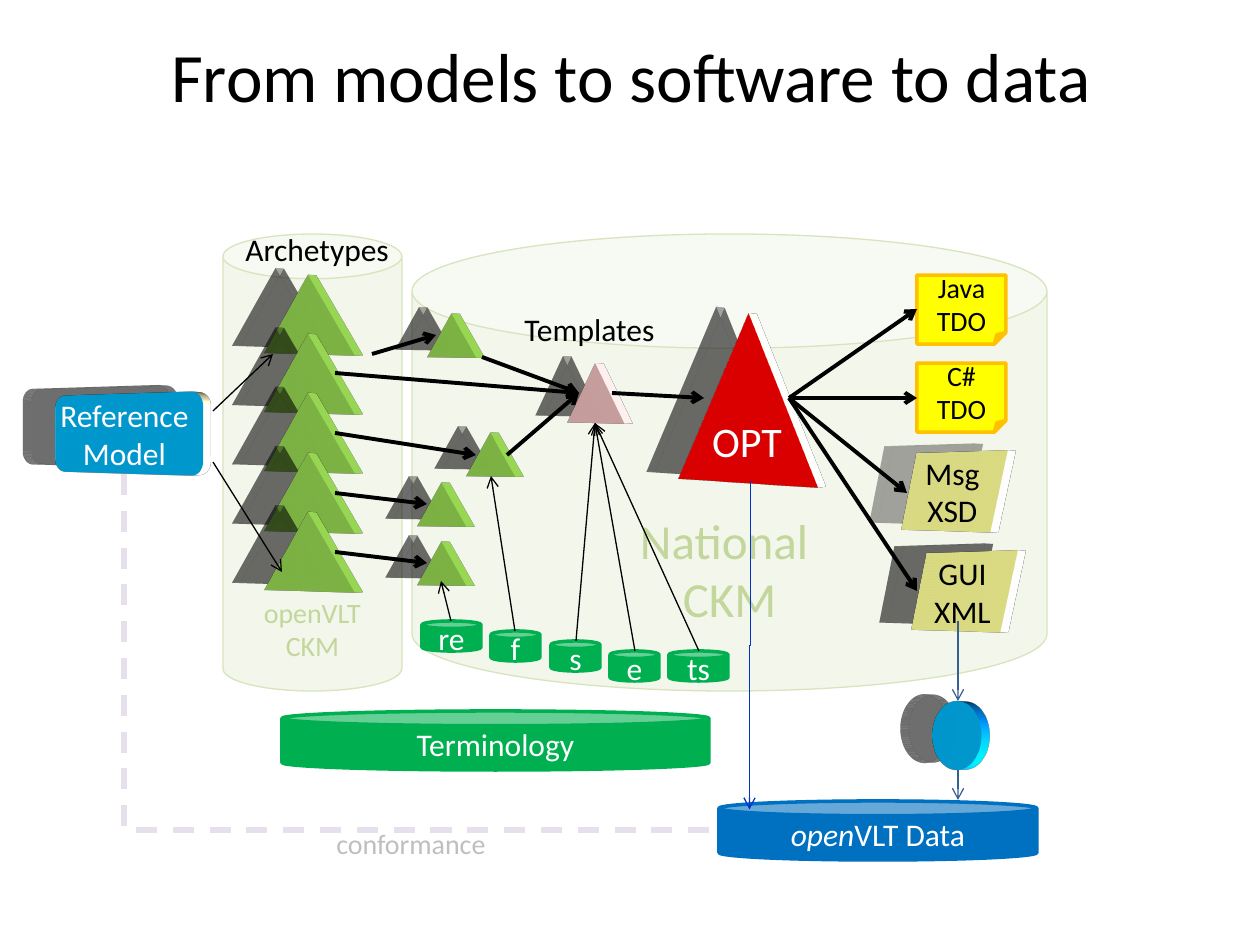
from lxml.etree import SubElement
from pptx import Presentation
from pptx.dml.color import RGBColor
from pptx.enum.dml import MSO_LINE
from pptx.enum.shapes import MSO_CONNECTOR, MSO_SHAPE
from pptx.enum.text import MSO_ANCHOR, PP_ALIGN
from pptx.oxml import parse_xml
from pptx.oxml.ns import nsdecls, qn
from pptx.util import Emu, Pt

FONT = "Calibri"
BLACK = RGBColor(0x00, 0x00, 0x00)
WHITE = RGBColor(0xFF, 0xFF, 0xFF)
PALE_GREEN = RGBColor(0xEB, 0xF1, 0xDE)
SAGE = RGBColor(0xD7, 0xE4, 0xBD)
OLIVE = RGBColor(0xC3, 0xD6, 0x9B)
LIME = RGBColor(0x92, 0xD0, 0x50)
GREEN = RGBColor(0x00, 0xB0, 0x50)
SKY = RGBColor(0x00, 0xB0, 0xF0)
BLUE = RGBColor(0x00, 0x70, 0xC0)
ROYAL = RGBColor(0x00, 0x33, 0xCC)
STEEL = RGBColor(0x37, 0x60, 0x92)
TAN = RGBColor(0xC4, 0xBD, 0x97)
RED = RGBColor(0xFF, 0x00, 0x00)
PINK = RGBColor(0xE6, 0xB9, 0xB8)
PALE_PINK = RGBColor(0xF2, 0xDC, 0xDB)
CREAM = RGBColor(0xFF, 0xFF, 0x99)
AQUA = RGBColor(0x93, 0xCD, 0xDD)
YELLOW = RGBColor(0xFF, 0xFF, 0x00)
GOLD = RGBColor(0xFF, 0xC0, 0x00)
LILAC = RGBColor(0xE6, 0xE0, 0xEC)
GREY = RGBColor(0xBF, 0xBF, 0xBF)

# Soft shadow, turned camera and extrusion shared by all solid pieces
SOLID_EFFECTS = (
    '<a:effectLst {ns}><a:outerShdw blurRad="184150" dist="241300" dir="11520000" '
    'algn="ctr" rotWithShape="0"><a:srgbClr val="000000"><a:alpha val="18000"/>'
    '</a:srgbClr></a:outerShdw></a:effectLst>',
    '<a:scene3d {ns}><a:camera prst="perspectiveFront" fov="5100000">'
    '<a:rot lat="0" lon="2100000" rev="0"/></a:camera><a:lightRig rig="flood" dir="t">'
    '<a:rot lat="0" lon="0" rev="13800000"/></a:lightRig></a:scene3d>',
    '<a:sp3d {ns} extrusionH="107950" prstMaterial="plastic">'
    '<a:bevelT w="82550" h="63500" prst="divot"/><a:bevelB/></a:sp3d>',
)


def px(length):
    return Emu(round(length * 914400 / 126))


def inside(box, left, top, width, height):
    return box[0] + left, box[1] + top, width, height


def write(frame, text, size, color, align=PP_ALIGN.CENTER):
    para = frame.paragraphs[0]
    para.text = text
    para.alignment = align
    para.font.name, para.font.size = FONT, Pt(size)
    para.font.color.rgb = color
    return para


def label(page, box, text, size, color):
    frame = page.shapes.add_textbox(*map(px, box)).text_frame
    frame.word_wrap = False
    write(frame, text, size, color, PP_ALIGN.LEFT)


def piece(page, kind, box, fill, line=None, weight=2, text="", size=18, color=WHITE, solid=False):
    shape = page.shapes.add_shape(kind, *map(px, box))
    shape.fill.solid()
    shape.fill.fore_color.rgb = fill
    if line is None:
        shape.line.fill.background()
    else:
        shape.line.color.rgb = line
        shape.line.width = Pt(weight)
    if solid:
        for effect in SOLID_EFFECTS:
            shape._element.spPr.append(parse_xml(effect.format(ns=nsdecls("a"))))
    else:
        shape.shadow.inherit = False
    if text:
        write(shape.text_frame, text, size, color)
    return shape


def link(page, start, end, color, weight, kind=MSO_CONNECTOR.STRAIGHT, arrow=True):
    connector = page.shapes.add_connector(kind, *map(px, start + end))
    connector.line.color.rgb = color
    connector.line.width = Pt(weight)
    if arrow:
        SubElement(connector.line._get_or_add_ln(), qn("a:tailEnd"), type="arrow")
    SubElement(connector._element.spPr, qn("a:effectLst"))
    return connector


def title(page, box):
    frame = page.shapes.add_textbox(*map(px, box)).text_frame
    frame.word_wrap = True
    frame.vertical_anchor = MSO_ANCHOR.MIDDLE
    write(frame, "From models to software to data", 39.6, BLACK)


def repositories(page, box):
    for left, width, text, size in ((0, 179, "openVLT\vCKM", 16), (189, 635, "National \vCKM", 28)):
        store = piece(page, MSO_SHAPE.CAN, inside(box, left, 0, width, box[3]),
                      PALE_GREEN, SAGE, 0.75, text, size, OLIVE)
        store.text_frame.vertical_anchor = MSO_ANCHOR.BOTTOM
        tint = store._element.spPr.find(qn("a:solidFill"))[0]
        SubElement(tint, qn("a:alpha"), val="60000")


def reference_model(page, box):
    piece(page, MSO_SHAPE.ROUNDED_RECTANGLE, box, SKY, TAN, text="Reference Model", solid=True)


def archetypes(page, box):
    count, height = 5, 79
    step = (box[3] - height) / (count - 1)
    for row in range(count):
        piece(page, MSO_SHAPE.ISOSCELES_TRIANGLE, inside(box, 0, row * step, box[2], height),
              LIME, LIME, solid=True)
    label(page, inside(box, -20, -51, 170, 50), "Archetypes", 18, BLACK)


def chosen_archetypes(page, box):
    for left, top in ((10, 0), (49, 119), (0, 228), (0, 169)):
        piece(page, MSO_SHAPE.ISOSCELES_TRIANGLE, inside(box, left, top, 59, 43),
              LIME, LIME, solid=True)


def templates(page, box):
    piece(page, MSO_SHAPE.ISOSCELES_TRIANGLE, inside(box, 49, 59, 69, 60), PINK, PALE_PINK, solid=True)
    label(page, inside(box, 0, 0, box[2], 50), "Templates", 18, BLACK)


def operational_template(page, box):
    shape = piece(page, MSO_SHAPE.ISOSCELES_TRIANGLE, box, RED, PALE_PINK,
                  text="OPT", size=24, solid=True)
    shape.adjustments[0] = 0.53
    frame = shape.text_frame
    frame.margin_left = frame.margin_right = px(5)
    frame.margin_top = frame.margin_bottom = 0


def outputs(page, box):
    for top, text in ((0, "Java TDO"), (88, "C# TDO")):
        piece(page, MSO_SHAPE.FOLDED_CORNER, inside(box, 29, top, 89, 69),
              YELLOW, GOLD, text=text, size=16, color=BLACK)
    for left, top, text, line in ((10, 277, "GUI XML", AQUA), (0, 177, "Msg XSD", None)):
        piece(page, MSO_SHAPE.PARALLELOGRAM, inside(box, left, top, 129, 79),
              CREAM, line, text=text, color=BLACK, solid=True)


def terminology(page, box):
    subsets = ((140, 0, 59, "re"), (209, 10, 49, "f"), (269, 20, 49, "s"),
               (328, 30, 49, "e"), (387, 30, 59, "ts"))
    for left, top, width, text in subsets:
        piece(page, MSO_SHAPE.CAN, inside(box, left, top, width, 30), GREEN, GREEN, text=text)
    piece(page, MSO_SHAPE.CAN, inside(box, 0, 90, 427, 59), GREEN, GREEN, text="Terminology")


def data_store(page, box):
    piece(page, MSO_SHAPE.OVAL, inside(box, 208, 0, 59, 69), SKY, BLUE, solid=True)
    store = piece(page, MSO_SHAPE.CAN, inside(box, 0, 100, box[2], 59), BLUE, BLUE, text="open")
    para = store.text_frame.paragraphs[0]
    para.runs[0].font.italic = True
    para.add_run().text = "VLT Data"


def elbow(page, box, color, weight, turn, **frame_settings):
    left, top, width, height = box
    connector = link(page, (left, top), (left + width, top + height), color, weight,
                     MSO_CONNECTOR.ELBOW, arrow=frame_settings.get("arrow", True))
    frame = connector._element.spPr.find(qn("a:xfrm"))
    frame.set("rot", str(turn * 60000))
    return connector, frame


def conformance(page, box):
    left, top, width, height = box
    # Size before the quarter turn, around the same centre
    unturned = (left + (width - height) / 2, top + (height - width) / 2, height, width)
    connector, frame = elbow(page, unturned, LILAC, 3, 270, arrow=False)
    frame.set("flipH", "1")
    connector._element.spPr.find(qn("a:prstGeom")).set("prst", "bentConnector2")
    connector.line.dash_style = MSO_LINE.DASH
    label(page, inside(box, 200, 346, 176, 47), "conformance", 16, GREY)


def connections(page, box):
    template, hub = (579, 393), (789, 398)
    thick = [((482, 357), template), ((507, 455), template), ((335, 373), template),
             ((612, 393), (704, 398)), ((335, 433), (476, 455)), ((372, 354), (436, 335)),
             ((335, 493), (427, 504)), ((335, 552), (427, 563))]
    thick += [(hub, end) for end in ((917, 309), (917, 398), (907, 493), (917, 591))]
    thin = [(start, (595, 423)) for start in ((576, 641), (635, 651), (699, 651))]
    thin += [((515, 631), (491, 476)), ((451, 621), (441, 581)),
             ((213, 411), (273, 354)), ((213, 462), (282, 572))]
    steel = [((958, 621), (958, 701)), ((958, 770), (958, 800))]
    for links, color, weight in ((thick, BLACK, 2.25), (thin, BLACK, 0.75), (steel, STEEL, 0.75)):
        for start, end in links:
            link(page, inside(box, *start, 0, 0)[:2], inside(box, *end, 0, 0)[:2], color, weight)
    elbow(page, inside(box, 586, 645, 328, 1), ROYAL, 0.75, 90)


def main():
    deck = Presentation()
    deck.slide_width, deck.slide_height = px(1260), px(945)
    page = deck.slides.add_slide(deck.slide_layouts[6])
    repositories(page, (223, 234, 824, 457))
    title(page, (64, 26, 1134, 97))
    reference_model(page, (35, 394, 179, 79))
    archetypes(page, (253, 275, 110, 316))
    operational_template(page, (660, 314, 169, 169))
    templates(page, (512, 304, 158, 119))
    terminology(page, (282, 621, 446, 149))
    outputs(page, (888, 275, 139, 356))
    conformance(page, (124, 474, 595, 356))
    data_store(page, (719, 701, 318, 159))
    chosen_archetypes(page, (412, 314, 108, 271))
    connections(page, (0, 0, 1260, 945))
    deck.save("out.pptx")


if __name__ == "__main__":
    main()
